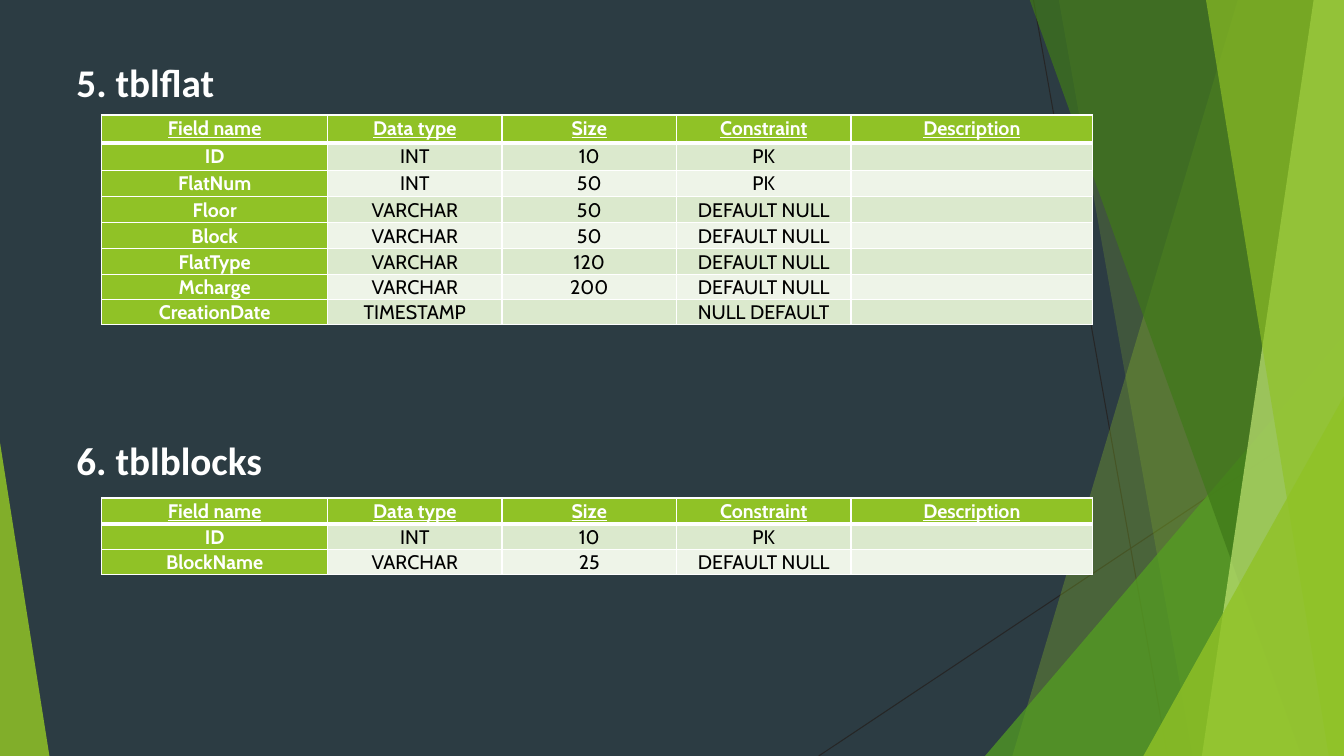
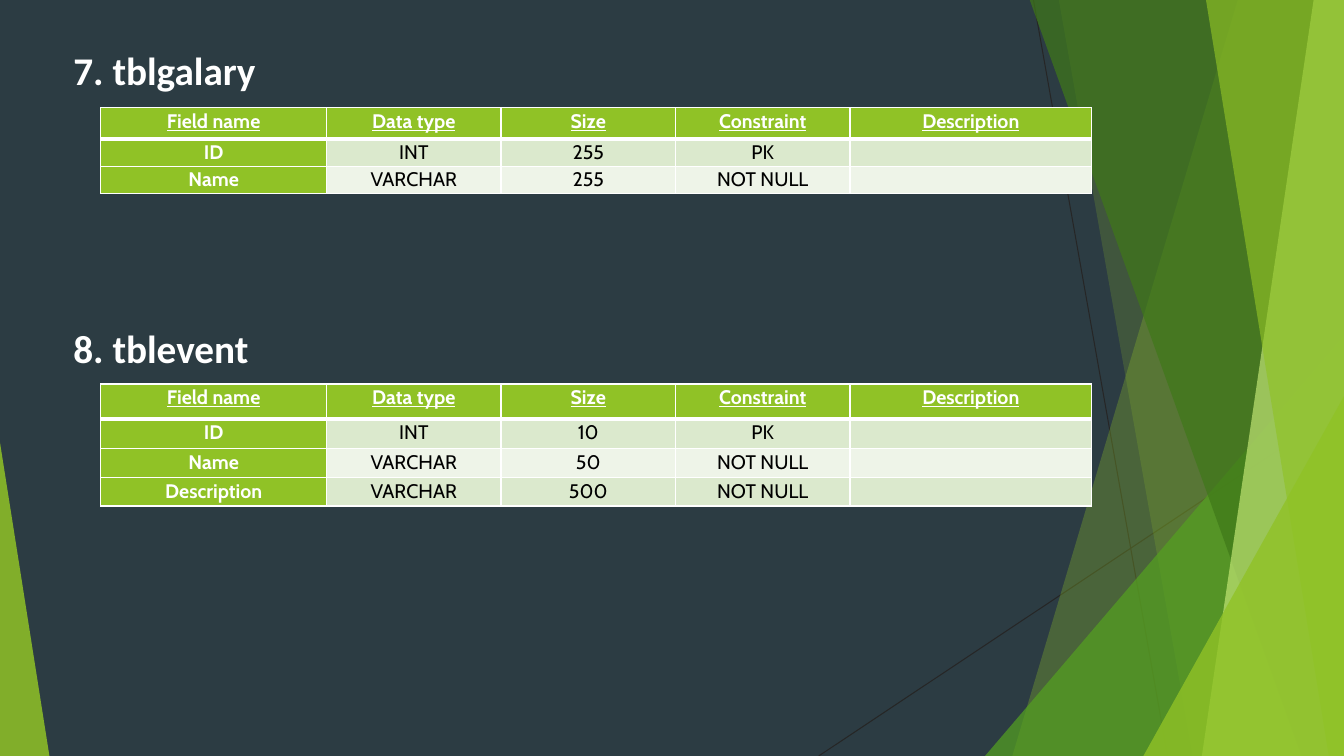
from dataclasses import dataclass

from lxml.etree import SubElement
from pptx import Presentation
from pptx.dml.color import RGBColor
from pptx.enum.shapes import MSO_CONNECTOR, MSO_SHAPE
from pptx.enum.text import MSO_ANCHOR, PP_ALIGN
from pptx.oxml.ns import qn
from pptx.util import Pt

PX = 9144
WIDTH, HEIGHT = 1333, 750


@dataclass(frozen=True)
class Theme:
    background: str = "2C3C43"
    line: str = "262626"
    accent: str = "90C226"
    green: str = "54A021"
    forest: str = "3F7819"
    lime: str = "C0E474"
    white: str = "FFFFFF"
    black: str = "000000"
    stripes: tuple = ("DBE9CD", "EEF4E8")
    title_font: str = "Calibri"
    table_font: str = "Cabin"
    title_size: int = 28
    table_size: int = 14
    border: int = 1
    header_rule: int = 3


THEME = Theme()
FIELDS = ("Field name", "Data type", "Size", "Constraint", "Description")
COLUMNS = (224, 173, 173, 173, 240)

FLAT = (
    ("ID", "INT", "10", "PK", ""),
    ("FlatNum", "INT", "50", "PK", ""),
    ("Floor", "VARCHAR", "50", "DEFAULT NULL", ""),
    ("Block", "VARCHAR", "50", "DEFAULT NULL", ""),
    ("FlatType", "VARCHAR", "120", "DEFAULT NULL", ""),
    ("Mcharge", "VARCHAR", "200", "DEFAULT NULL", ""),
    ("CreationDate", "TIMESTAMP", "", "NULL DEFAULT", ""),
)
BLOCKS = (
    ("ID", "INT", "10", "PK", ""),
    ("BlockName", "VARCHAR", "25", "DEFAULT NULL", ""),
)
GALLERY = (
    ("ID", "INT", "255", "PK", ""),
    ("Name", "VARCHAR", "255", "NOT NULL", ""),
)
EVENT = (
    ("ID", "INT", "10", "PK", ""),
    ("Name", "VARCHAR", "50", "NOT NULL", ""),
    ("Description", "VARCHAR", "500", "NOT NULL", ""),
)


def px(*values):
    return [value * PX for value in values]


def rgb(color):
    return RGBColor.from_string(color)


def paint(sp, color, alpha):
    sp.shadow.inherit = False
    sp.line.fill.background()
    sp.fill.solid()
    sp.fill.fore_color.rgb = rgb(color)
    clr = sp.fill._xPr.find(qn("a:solidFill"))[0]
    SubElement(clr, qn("a:alpha"), val=str(alpha * 1000))


def add_line(slide, x1, y1, x2, y2):
    line = slide.shapes.add_connector(MSO_CONNECTOR.STRAIGHT, *px(x1, y1, x2, y2))
    line.line.color.rgb = rgb(THEME.line)
    line.line.width = Pt(0.75)
    SubElement(line._element.spPr, qn("a:effectLst"))


def add_band(slide, top_x, bottom_x, color, alpha):
    builder = slide.shapes.build_freeform(top_x, -1, scale=PX)
    builder.add_line_segments([(WIDTH, -1), (WIDTH, HEIGHT), (bottom_x, HEIGHT)])
    paint(builder.convert_to_shape(), color, alpha)


def add_triangle(slide, x, y, w, apex, color, alpha):
    sp = slide.shapes.add_shape(
        MSO_SHAPE.ISOSCELES_TRIANGLE, *px(x, y, w, HEIGHT - y))
    sp.adjustments[0] = apex
    paint(sp, color, alpha)


def add_backdrop(slide):
    add_line(slide, 1025, 0, 1158, HEIGHT)
    add_line(slide, WIDTH, 403, 812, HEIGHT)
    add_band(slide, 1228, 1004, THEME.accent, 30)
    add_band(slide, 1050, 1183, THEME.accent, 20)
    add_triangle(slide, 977, 333, 356, 1, THEME.green, 72)
    add_band(slide, 1021, 1291, THEME.forest, 70)
    add_band(slide, 1303, 1192, THEME.lime, 70)
    add_band(slide, 1196, 1318, THEME.accent, 65)
    add_triangle(slide, 1134, 393, 199, 1, THEME.accent, 80)
    add_triangle(slide, 0, 439, 49, 0, THEME.accent, 85)


def add_run(p, text, font, size, color, bold, underline=False):
    r = p.add_run()
    r.text = text
    r.font.name = font
    r.font.size = Pt(size)
    r.font.color.rgb = rgb(color)
    r.font.bold = bold
    r.font.underline = underline


def add_title(slide, text, x, y, w):
    tf = slide.shapes.add_textbox(*px(x, y, w, 104)).text_frame
    tf.word_wrap = False
    tf.vertical_anchor = MSO_ANCHOR.TOP
    add_run(tf.paragraphs[0], text, THEME.title_font, THEME.title_size,
            THEME.white, True)


def set_borders(cell, top, bottom):
    tc_pr = cell._tc.get_or_add_tcPr()
    widths = {"L": THEME.border, "R": THEME.border, "T": top, "B": bottom}
    for side, width in widths.items():
        ln = SubElement(tc_pr, qn(f"a:ln{side}"), w=str(Pt(width)))
        fill = SubElement(ln, qn("a:solidFill"))
        SubElement(fill, qn("a:srgbClr"), val=THEME.white)


def fill_cell(cell, text, row, col):
    header = row == 0
    strong = header or col == 0
    set_borders(cell,
                THEME.header_rule if row == 1 else THEME.border,
                THEME.header_rule if header else THEME.border)
    cell.fill.solid()
    cell.fill.fore_color.rgb = rgb(
        THEME.accent if strong else THEME.stripes[(row - 1) % 2])
    cell.margin_left = cell.margin_right = 10 * PX
    cell.margin_top = cell.margin_bottom = 0
    p = cell.text_frame.paragraphs[0]
    p.alignment = PP_ALIGN.CENTER
    p.line_spacing = 1.07
    if text:
        add_run(p, text, THEME.table_font, THEME.table_size,
                THEME.white if strong else THEME.black, strong, header)
    else:
        SubElement(p._p, qn("a:endParaRPr"), sz=str(THEME.table_size * 100))


def add_field_table(slide, records, x, y, heights):
    rows = (FIELDS, *records)
    frame = slide.shapes.add_table(
        len(rows), len(COLUMNS), *px(x, y, sum(COLUMNS), sum(heights)))
    table = frame.table
    for column, width in zip(table.columns, COLUMNS):
        column.width = width * PX
    for i, (values, height) in enumerate(zip(rows, heights)):
        table.rows[i].height = height * PX
        for j, text in enumerate(values):
            fill_cell(table.cell(i, j), text, i, j)


def add_slide(prs):
    slide = prs.slides.add_slide(prs.slide_layouts[6])
    add_backdrop(slide)
    return slide


def main():
    prs = Presentation()
    prs.slide_width, prs.slide_height = px(WIDTH, HEIGHT)
    background = prs.slide_master.background.fill
    background.solid()
    background.fore_color.rgb = rgb(THEME.background)

    slide = add_slide(prs)
    add_title(slide, "5. tblflat", 66, 53, 159)
    add_field_table(slide, FLAT, 101, 114, (28, 27, 26, 26, 26, 25, 25, 25))
    add_title(slide, "6. tblblocks", 66, 428, 206)
    add_field_table(slide, BLOCKS, 101, 494, (26, 25, 25))

    slide = add_slide(prs)
    add_title(slide, "7. tblgalary", 63, 41, 203)
    add_field_table(slide, GALLERY, 100, 107, (31, 27, 27))
    add_title(slide, "8. tblevent", 63, 317, 196)
    add_field_table(slide, EVENT, 100, 381, (35, 29, 29, 28))

    prs.save("out.pptx")


if __name__ == "__main__":
    main()
